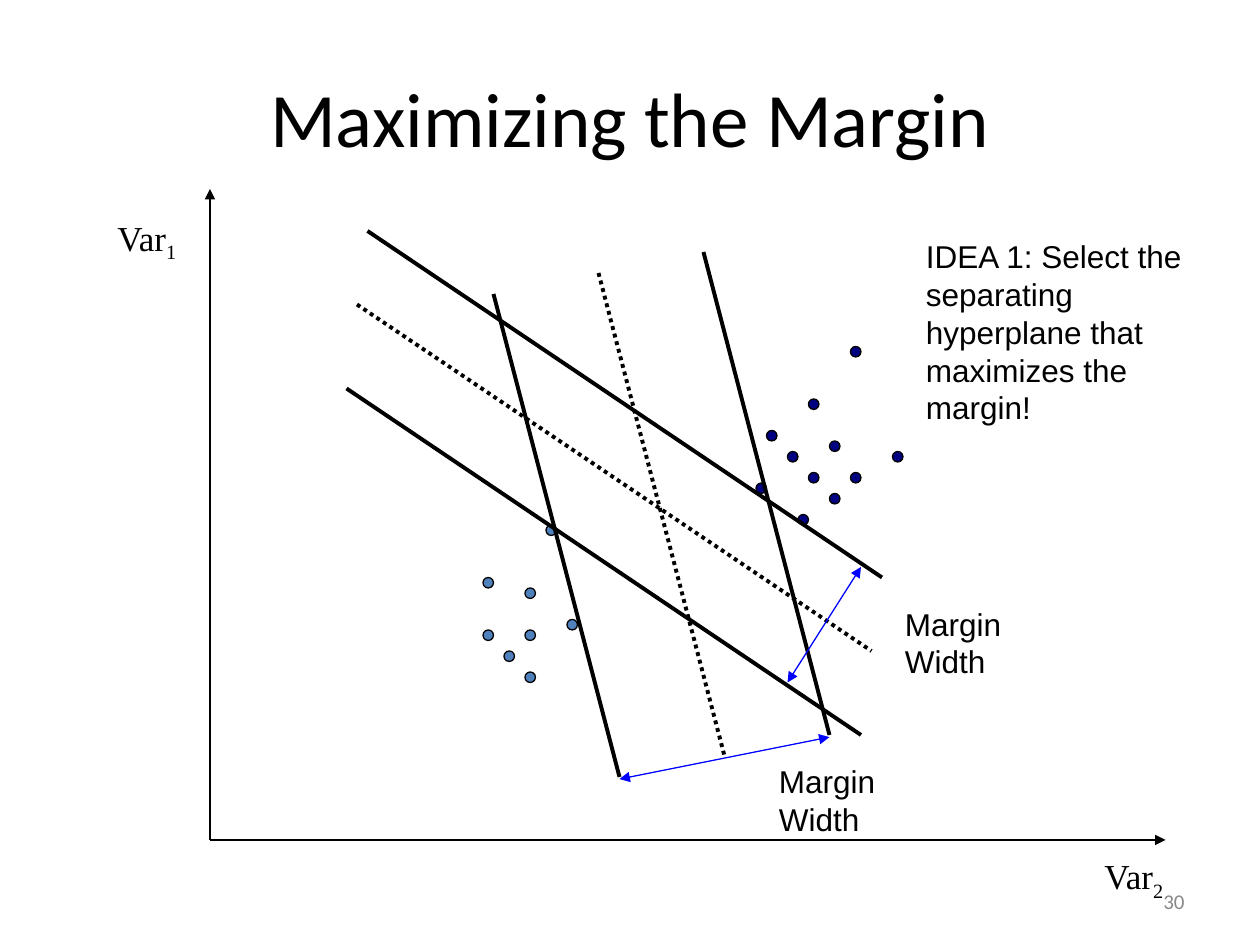
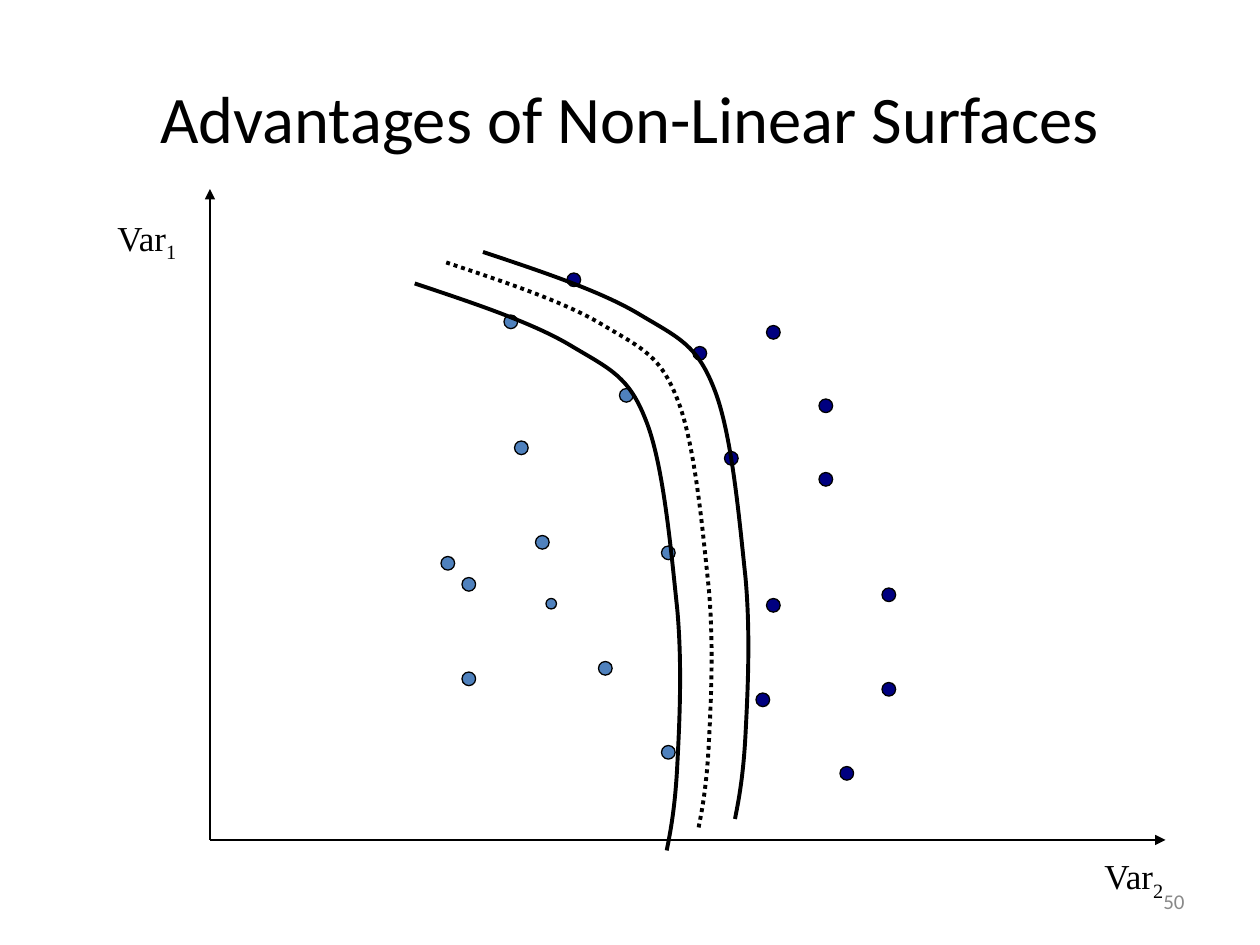
"""Two slides on margins between two classes of points: straight and curved separating surfaces."""
import pptx
import pptx.util
import pptx.dml.color
import pptx.enum.dml
import pptx.enum.shapes
import pptx.enum.text
import pptx.oxml
import pptx.oxml.ns

PX = 7620
BLACK = pptx.dml.color.RGBColor(0x00, 0x00, 0x00)
GREY = pptx.dml.color.RGBColor(0x89, 0x89, 0x89)
LIGHT = pptx.dml.color.RGBColor(0x4F, 0x81, 0xBD)
NAVY = pptx.dml.color.RGBColor(0x00, 0x00, 0x80)
BLUE = pptx.dml.color.RGBColor(0x00, 0x00, 0xFF)

THIN, THICK = 0.75, 2.25
ALIGN = pptx.enum.text.PP_ALIGN
MIDDLE = pptx.enum.text.MSO_ANCHOR.MIDDLE

AXES = [(200, 800, 1110, 800), (200, 800, 200, 180)]
AXIS_LABELS = [("1", 100, 200), ("2", 1040, 808)]

LINEAR = {
    "title": "Maximizing the Margin", "title_size": 44, "number": "30",
    "dots": [
        (LIGHT, 10, [(460, 600), (480, 620), (500, 600), (500, 560), (520, 500), (540, 590),
                     (500, 640), (460, 550)]),
        (NAVY, 10, [(730, 410), (750, 430), (770, 450), (790, 470), (790, 420), (760, 490),
                    (810, 450), (720, 460), (810, 330), (850, 430), (770, 380)]),
    ],
    "margins": [(470, 280, 590, 740), (670, 240, 790, 700),
                (330, 370, 820, 700), (350, 220, 840, 550)],
    "hyperplanes": [(570, 260, 690, 720), (340, 290, 830, 620)],
    "widths": [(590, 742, 790, 702), (820, 540, 750, 650)],
    "notes": [
        ("Margin Width", (730, 720, 130, 84)),
        ("Margin Width", (850, 570, 130, 84)),
        ("IDEA 1: Select the separating hyperplane that maximizes the margin!",
         (870, 220, 280, 192)),
    ],
}
CURVED = {
    "title": "Advantages of Non-Linear Surfaces", "title_size": 38, "number": "50",
    "dots": [
        (LIGHT, 13, [(510, 510), (440, 640), (630, 710), (490, 420), (480, 300), (630, 520),
                     (570, 630), (590, 370), (420, 530), (440, 550)]),
        (LIGHT, 10, [(520, 570)]),
        (NAVY, 13, [(660, 330), (690, 430), (780, 450), (720, 660), (840, 560), (730, 570),
                    (800, 730), (540, 260), (730, 310), (840, 650), (780, 380)]),
    ],
}
SURFACES = [(425, 250, True), (460, 240, False), (395, 270, False)]
SURFACE_CURVE = [
    (57, 19), (114, 38), (150, 60),
    (187, 82), (204, 89), (220, 130),
    (237, 172), (244, 254), (250, 310),
    (255, 365), (252, 421), (250, 460),
    (248, 498), (244, 520), (240, 540),
]


def scaled(lengths):
    """Turn px into EMU."""
    return [pptx.util.Emu(length * PX) for length in lengths]


def style_line(line, color=BLACK, weight=THIN, dotted=False):
    """Set colour, weight and dash of a line."""
    line.color.rgb = color
    line.width = pptx.util.Pt(weight)
    if dotted:
        line.dash_style = pptx.enum.dml.MSO_LINE.ROUND_DOT


def style_font(font, size, name, color=BLACK):
    """Set size, face and colour of a font."""
    font.size = pptx.util.Pt(size)
    font.name = name
    font.color.rgb = color


def add_line(page, ends, color=BLACK, weight=THIN, dotted=False, arrows=()):
    """Draw a straight line with optional arrowheads."""
    straight = pptx.enum.shapes.MSO_CONNECTOR.STRAIGHT
    connector = page.shapes.add_connector(straight, *scaled(ends))
    style_line(connector.line, color, weight, dotted)
    outline = connector.line._get_or_add_ln()
    for end in arrows:
        arrow = pptx.oxml.parse_xml(f'<a:{end} {pptx.oxml.ns.nsdecls("a")} type="triangle"/>')
        outline.append(arrow)
    effects = pptx.oxml.parse_xml(f'<a:effectLst {pptx.oxml.ns.nsdecls("a")}/>')
    connector._element.spPr.append(effects)


def add_text(page, text, place, size, name, color=BLACK):
    """Add a wrapped one-paragraph text box and return its frame."""
    frame = page.shapes.add_textbox(*scaled(place)).text_frame
    frame.word_wrap = True
    frame.text = text
    style_font(frame.paragraphs[0].runs[0].font, size, name, color)
    return frame


def add_axis_label(page, index, left, top):
    """Write a variable name with a subscript."""
    para = add_text(page, "Var", (left, top, 90, 58), 20, "Times New Roman").paragraphs[0]
    span = para.add_run()
    span.text = index
    style_font(span.font, 20, "Times New Roman")
    span._r.get_or_add_rPr().set("baseline", "-25000")


def add_surface(page, left, top, dotted):
    """Draw the separating curve from a starting point as cubic segments."""
    builder = page.shapes.build_freeform(left, top, scale=PX)
    points = [(left + across, top + down) for across, down in SURFACE_CURVE]
    builder.add_line_segments(points, close=False)
    surface = builder.convert_to_shape()
    surface.shadow.inherit = False
    surface.fill.background()
    style_line(surface.line, weight=THICK, dotted=dotted)
    straight = surface._element.findall(".//" + pptx.oxml.ns.qn("a:lnTo"))
    outline = straight[0].getparent()
    for start in range(0, len(straight), 3):
        bend = pptx.oxml.parse_xml(f'<a:cubicBezTo {pptx.oxml.ns.nsdecls("a")}/>')
        outline.append(bend)
        for segment in straight[start:start + 3]:
            bend.append(segment[0])
            outline.remove(segment)


def add_page(deck, content):
    """Add a slide with title, number, axes and dots."""
    page = deck.slides.add_slide(deck.slide_layouts[5])
    title = page.shapes.title
    title.left, title.top, title.width, title.height = scaled((60, 36, 1080, 150))
    title.text_frame.text = content["title"]
    title.text_frame.vertical_anchor = MIDDLE
    heading = title.text_frame.paragraphs[0]
    heading.alignment = ALIGN.CENTER
    style_font(heading.runs[0].font, content["title_size"], "Calibri")

    number = add_text(page, content["number"], (860, 834, 280, 48), 12, "Calibri", GREY)
    number.vertical_anchor = MIDDLE
    number.paragraphs[0].alignment = ALIGN.RIGHT

    for ends in AXES:
        add_line(page, ends, arrows=["tailEnd"])
    for label in AXIS_LABELS:
        add_axis_label(page, *label)
    for color, size, corners in content["dots"]:
        for left, top in corners:
            oval = pptx.enum.shapes.MSO_SHAPE.OVAL
            dot = page.shapes.add_shape(oval, *scaled((left, top, size, size)))
            dot.shadow.inherit = False
            dot.fill.solid()
            dot.fill.fore_color.rgb = color
            style_line(dot.line)
    return page


def main():
    """Build and save the deck."""
    deck = pptx.Presentation()
    deck.slide_width, deck.slide_height = scaled((1200, 900))

    page = add_page(deck, LINEAR)
    for ends in LINEAR["margins"]:
        add_line(page, ends, weight=THICK)
    for ends in LINEAR["hyperplanes"]:
        add_line(page, ends, weight=THICK, dotted=True)
    for ends in LINEAR["widths"]:
        add_line(page, ends, BLUE, arrows=["headEnd", "tailEnd"])
    for text, place in LINEAR["notes"]:
        add_text(page, text, place, 18, "Arial")

    page = add_page(deck, CURVED)
    for surface in SURFACES:
        add_surface(page, *surface)

    deck.save("out.pptx")


if __name__ == "__main__":
    main()
